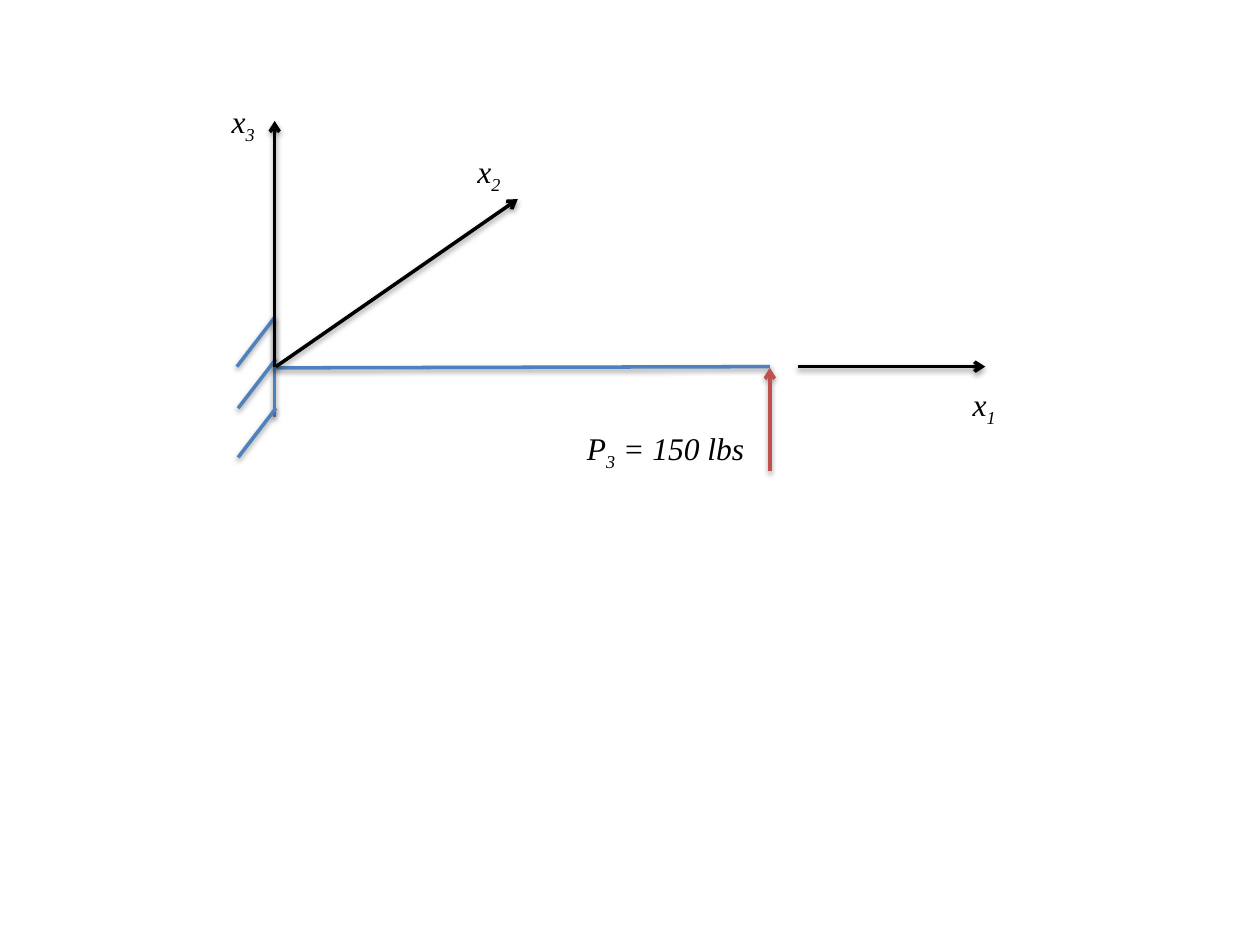
from lxml import etree
from pptx import Presentation
from pptx.dml.color import RGBColor
from pptx.enum import shapes, text
from pptx.oxml import parse_xml
from pptx.oxml.ns import nsdecls, qn
from pptx.util import Inches, Pt

BLACK = RGBColor(0x00, 0x00, 0x00)
BLUE = RGBColor(0x4F, 0x81, 0xBD)
RED = RGBColor(0xC0, 0x50, 0x4D)

SHADOW = (
    f'<a:effectLst {nsdecls("a")}>'
    '<a:outerShdw blurRad="40000" dist="20000" dir="5400000" rotWithShape="0">'
    '<a:srgbClr val="000000"><a:alpha val="38000"/></a:srgbClr>'
    '</a:outerShdw></a:effectLst>'
)


def add_run(paragraph, wording, font="Times New Roman", size=18,
            color=BLACK, italic=True, baseline=0):
    run = paragraph.add_run()
    run.text = wording
    run.font.name = font
    run.font.size = Pt(size)
    run.font.italic = italic
    run.font.color.rgb = color
    if baseline:
        run.font._element.set("baseline", str(baseline * 1000))


class Diagram:
    """Draws a beam diagram in one group on a slide."""

    line_width = Pt(2)
    label_height = 0.4
    subscript = -25

    def __init__(self, slide):
        self.drawing = slide.shapes.add_group_shape().shapes

    def line(self, start, end, color=BLUE):
        ends = [Inches(value) for value in (*start, *end)]
        line = self.drawing.add_connector(shapes.MSO_CONNECTOR.STRAIGHT, *ends)
        line.line.color.rgb = color
        line.line.width = self.line_width
        line._element.spPr.append(parse_xml(SHADOW))
        return line

    def arrow(self, start, end, color=BLACK):
        outline = self.line(start, end, color)._element.spPr.find(qn("a:ln"))
        etree.SubElement(outline, qn("a:tailEnd"), type="arrow")

    def label(self, left, top, width, symbol, index, rest=""):
        box = self.drawing.add_textbox(
            Inches(left), Inches(top), Inches(width), Inches(self.label_height))
        frame = box.text_frame
        frame.word_wrap = True
        frame.auto_size = text.MSO_AUTO_SIZE.SHAPE_TO_FIT_TEXT
        paragraph = frame.paragraphs[0]
        add_run(paragraph, symbol)
        add_run(paragraph, index, baseline=self.subscript)
        if rest:
            add_run(paragraph, rest)


prs = Presentation()
prs.slide_width, prs.slide_height = Inches(10), Inches(7.5)
diagram = Diagram(prs.slides.add_slide(prs.slide_layouts[6]))

wall_x, tip_x, axis_y = 2.18, 6.11, 2.91

# Wall and beam
diagram.line((wall_x, 2.52), (wall_x, 3.31))
diagram.line((wall_x, 2.92), (tip_x, axis_y))

# Wall hatching
for hatch_x, hatch_y in ((2.18, 2.52), (2.19, 2.85), (2.19, 3.24)):
    diagram.line((hatch_x, hatch_y), (hatch_x - 0.3, hatch_y + 0.39))

# Coordinate axes
diagram.arrow((6.33, axis_y), (7.82, axis_y))
diagram.arrow((wall_x, axis_y), (wall_x, 0.96))
diagram.arrow((2.19, axis_y), (4.11, 1.58))

axis_labels = ((7.62, 3.01), (3.69, 1.16), (1.74, 0.76))
for number, (left, top) in enumerate(axis_labels, start=1):
    diagram.label(left, top, 1.19, "x", str(number))

# Tip load
diagram.label(4.56, 3.36, 1.98, "P", "3", " = 150 lbs")
diagram.arrow((tip_x, 3.74), (tip_x, 2.92), RED)

prs.save("out.pptx")
